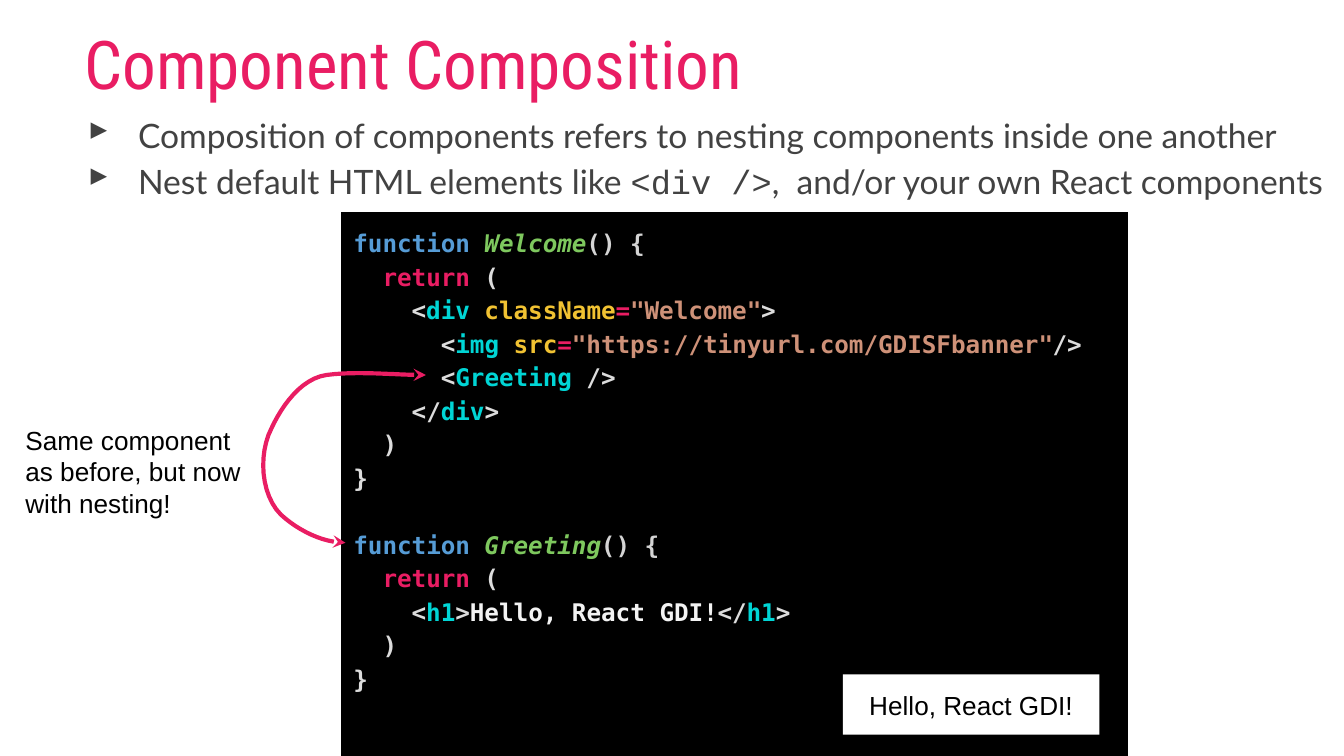
from dataclasses import dataclass

from lxml.etree import SubElement
from pptx import Presentation
from pptx.dml.color import RGBColor
from pptx.enum.shapes import MSO_SHAPE
from pptx.enum.text import MSO_ANCHOR, PP_ALIGN
from pptx.oxml.ns import qn
from pptx.util import Cm, Pt


@dataclass(frozen=True)
class Theme:
    accent: str = "E91D63"
    body: str = "424242"
    black: str = "000000"
    white: str = "FFFFFF"
    keyword: str = "569CD6"
    function: str = "7EC85E"
    plain: str = "D4D4D4"
    bracket: str = "DCDCDC"
    tag: str = "00D5D5"
    attribute: str = "F1C232"
    string: str = "CE9178"
    content: str = "F3F3F3"
    title_size: float = 36
    body_size: float = 18
    label_size: float = 14
    code_size: float = 13
    code_gap: float = 17.9
    line_spacing: float = 1.15


THEME = Theme()

BULLETS = [
    [("Composition of components refers to nesting components inside one another", "Lato")],
    [("Nest default HTML elements like ", "Lato"), ("<div />", "Courier New"),
     (",  and/or your own React components", "Lato")],
]


def function_lines(name, markup):
    """Wrap lines of coloured markup in a component function."""
    return [
        [("function ", THEME.keyword), (name, THEME.function), ("() {", THEME.plain)],
        [("  return ", THEME.accent), ("(", THEME.bracket)],
        *markup,
        [("  )", THEME.bracket)],
        [("}", THEME.bracket)],
    ]


def attribute_spans(name, value):
    return [(name, THEME.attribute), ("=", THEME.accent), (f'"{value}"', THEME.string)]


def tag_spans(opening, name, closing=">"):
    return [(opening, THEME.bracket), (name, THEME.tag), (closing, THEME.bracket)]


WELCOME = function_lines("Welcome", [
    tag_spans("    <", "div ", "") + attribute_spans("className", "Welcome")
    + [(">", THEME.bracket)],
    tag_spans("      <", "img ", "")
    + attribute_spans("src", "https://tinyurl.com/GDISFbanner")
    + [("/>", THEME.bracket)],
    tag_spans("      <", "Greeting ", "/>"),
    tag_spans("    </", "div"),
])
GREETING = function_lines("Greeting", [
    tag_spans("    <", "h1") + [("Hello, React GDI!", THEME.content)] + tag_spans("</", "h1"),
])

# Start point, then two control points and an end point for each curve (cm)
ARROW_START = (8.05, 7.09)
ARROW_CURVES = [
    ((7.42, 7.09), (6.78, 7.01), (6.17, 7.09)),
    ((5.69, 7.16), (5.33, 7.67), (5.13, 8.10)),
    ((4.88, 8.59), (4.93, 9.35), (5.31, 9.73)),
    ((5.64, 10.03), (6.10, 10.26), (6.53, 10.26)),
]
CURVE_STEPS = 12


def set_font(font, name=None, size=None, color=None):
    if name:
        font.name = name
    if size:
        font.size = Pt(size)
    if color:
        font.color.rgb = RGBColor.from_string(color)


def prepare_frame(shape, anchor=MSO_ANCHOR.TOP):
    frame = shape.text_frame
    frame.word_wrap = True
    frame.vertical_anchor = anchor
    frame.margin_left = frame.margin_right = Cm(0.25)
    frame.margin_top = frame.margin_bottom = Cm(0.25)
    return frame


def add_text_box(page, left, top, width, height):
    box = page.shapes.add_textbox(Cm(left), Cm(top), Cm(width), Cm(height))
    return prepare_frame(box)


def add_panel(page, left, top, width, height, fill, line=None, anchor=MSO_ANCHOR.TOP):
    panel = page.shapes.add_shape(
        MSO_SHAPE.RECTANGLE, Cm(left), Cm(top), Cm(width), Cm(height))
    panel.shadow.inherit = False
    panel.fill.solid()
    panel.fill.fore_color.rgb = RGBColor.from_string(fill)
    if line:
        panel.line.color.rgb = RGBColor.from_string(line)
        panel.line.width = Pt(0.75)
    else:
        panel.line.fill.background()
    return prepare_frame(panel, anchor)


def write_line(frame, text, name, size, color, align=PP_ALIGN.LEFT):
    para = frame.paragraphs[0]
    para.alignment = align
    para.add_run().text = text
    set_font(para.font, name, size, color)


def paragraphs_for(frame, lines):
    """Yield each line with its paragraph, using the first empty one."""
    for index, line in enumerate(lines):
        para = frame.add_paragraph() if index else frame.paragraphs[0]
        para.alignment = PP_ALIGN.LEFT
        para.line_spacing = THEME.line_spacing
        yield para, line


def add_bullet_mark(para):
    properties = para._p.get_or_add_pPr()
    properties.set("marL", str(Cm(1.27)))
    properties.set("indent", str(Cm(-0.95)))
    color = SubElement(properties, qn("a:buClr"))
    SubElement(color, qn("a:srgbClr"), val=THEME.body)
    SubElement(properties, qn("a:buChar"), char="▸")


def write_bullets(frame):
    for para, spans in paragraphs_for(frame, BULLETS):
        add_bullet_mark(para)
        set_font(para.font, size=THEME.body_size, color=THEME.body)
        for text, name in spans:
            span = para.add_run()
            span.text = text
            set_font(span.font, name)


def write_code(frame):
    for para, spans in paragraphs_for(frame, WELCOME + GREETING):
        if spans is GREETING[0]:
            para.space_before = Pt(THEME.code_gap)
        set_font(para.font, "DejaVu Sans Mono", THEME.code_size)
        para.font.bold = True
        for text, color in spans:
            if not text:
                continue
            span = para.add_run()
            span.text = text
            set_font(span.font, color=color)
            if color == THEME.function:
                span.font.italic = True


def curve_points():
    """Sample the chain of cubic curves after its start point."""
    start = ARROW_START
    for first, second, end in ARROW_CURVES:
        for step in range(1, CURVE_STEPS + 1):
            t = step / CURVE_STEPS
            u = 1 - t
            yield tuple(
                Cm(u**3 * a + 3 * u**2 * t * b + 3 * u * t**2 * c + t**3 * d)
                for a, b, c, d in zip(start, first, second, end))
        start = end


def add_curved_arrow(page):
    builder = page.shapes.build_freeform(Cm(ARROW_START[0]), Cm(ARROW_START[1]))
    builder.add_line_segments(list(curve_points()), close=False)
    arrow = builder.convert_to_shape()
    arrow.shadow.inherit = False
    arrow.fill.background()
    arrow.line.color.rgb = RGBColor.from_string(THEME.accent)
    arrow.line.width = Pt(2.25)
    line = arrow.line._get_or_add_ln()
    SubElement(line, qn("a:round"))
    for end in ("a:headEnd", "a:tailEnd"):
        SubElement(line, qn(end), type="stealth")


def main():
    deck = Presentation()
    deck.slide_width, deck.slide_height = Cm(25.4), Cm(14.29)
    page = deck.slides.add_slide(deck.slide_layouts[6])

    write_bullets(add_text_box(page, 1.09, 1.8, 24.31, 3.12))
    write_line(add_text_box(page, 1.35, 0.18, 16.54, 1.83),
               "Component Composition", "Roboto Condensed", THEME.title_size, THEME.accent)
    write_line(add_text_box(page, 0.23, 7.77, 4.8, 3.12),
               "Same component as before, but now with nesting!",
               "Arial", THEME.label_size, THEME.black)
    write_code(add_panel(page, 6.43, 3.99, 14.91, 10.31, THEME.black, THEME.white))
    add_curved_arrow(page)
    output = add_panel(page, 15.93, 12.75, 4.85, 1.14, THEME.white, anchor=MSO_ANCHOR.MIDDLE)
    write_line(output, "Hello, React GDI!", "Arial", THEME.label_size, THEME.black,
               PP_ALIGN.CENTER)

    deck.save("out.pptx")


if __name__ == "__main__":
    main()
